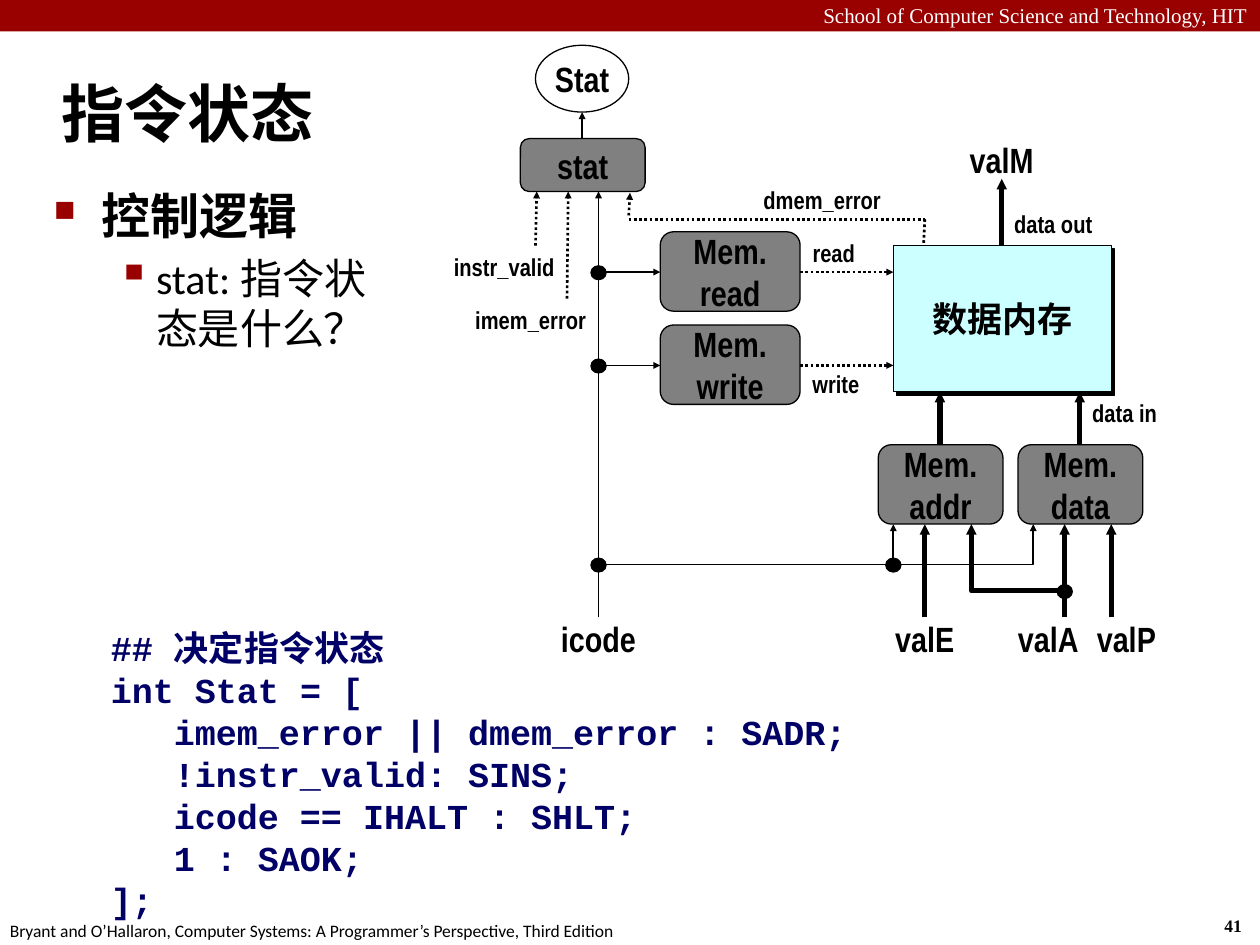
"""Build the slide on the instruction status logic of a processor's memory stage."""
import pptx
import pptx.dml.color
import pptx.enum.dml
import pptx.enum.shapes
import pptx.enum.text
import pptx.oxml
import pptx.oxml.ns
import pptx.util

Inches = pptx.util.Inches
Pt = pptx.util.Pt
SHAPE = pptx.enum.shapes.MSO_SHAPE
ALIGN = pptx.enum.text.PP_ALIGN
MIDDLE = pptx.enum.text.MSO_ANCHOR.MIDDLE
DOTTED = pptx.enum.dml.MSO_LINE.ROUND_DOT
BLACK, WHITE, RED, GREY, CYAN, NAVY = "000000", "FFFFFF", "990000", "808080", "CCFFFF", "000066"
NARROW = "Arial Narrow"


def rgb(value):
    return pptx.dml.color.RGBColor.from_string(value)


def add_xml(parent, tag, body="", **attrs):
    values = " ".join(f'{key}="{value}"' for key, value in attrs.items())
    ns = pptx.oxml.ns.nsdecls("a")
    parent.append(pptx.oxml.parse_xml(f"<a:{tag} {ns} {values}>{body}</a:{tag}>"))


class Slide:
    def __init__(self, prs):
        self.s = prs.slides.add_slide(prs.slide_layouts[6])
        self.font = {"name": NARROW, "size": Pt(20), "bold": True}

    def style(self, p, color=BLACK, **fmt):
        for key, value in {**self.font, **fmt}.items():
            setattr(p.font, key, value)
        p.font.color.rgb = rgb(color)

    def fill_text(self, tf, lines, align=ALIGN.LEFT, spacing=None, **fmt):
        for i, line in enumerate(lines):
            p = tf.add_paragraph() if i else tf.paragraphs[0]
            p.add_run().text = line
            p.alignment = align
            p.line_spacing = spacing
            self.style(p, **fmt)

    def box(self, at, wrap=True):
        sp = self.s.shapes.add_textbox(*map(Inches, at))
        tf = sp.text_frame
        tf.word_wrap = wrap
        return tf

    def text(self, at, *lines, wrap=True, **fmt):
        tf = self.box(at, wrap)
        self.fill_text(tf, lines, **fmt)
        return tf

    def label(self, x, y, w, text, align=ALIGN.LEFT):
        self.text((x, y, w, 0.33), text, align=align, size=Pt(14))

    def bullet(self, p, text, char, percent, margin, indent, **fmt):
        pPr = p._p.get_or_add_pPr()
        pPr.set("marL", str(Inches(margin)))
        pPr.set("indent", str(Inches(-indent)))
        add_xml(pPr, "buClr", f'<a:srgbClr val="{RED}"/>')
        add_xml(pPr, "buSzPct", val=percent * 1000)
        add_xml(pPr, "buChar", char=char)
        p.add_run().text = text
        self.style(p, name="Calibri", **fmt)

    def shape(self, kind, at, *lines, fill=None, line=BLACK):
        sp = self.s.shapes.add_shape(kind, *map(Inches, at))
        sp.shadow.inherit = False
        for part, color in ((sp.fill, fill), (sp.line.fill, line)):
            if color:
                part.solid()
                part.fore_color.rgb = rgb(color)
            else:
                part.background()
        if line:
            sp.line.width = Pt(0.75)
        tf = sp.text_frame
        tf.word_wrap = False
        tf.vertical_anchor = MIDDLE
        self.fill_text(tf, lines, align=ALIGN.CENTER)
        return sp

    def block(self, at, *lines):
        self.shape(SHAPE.ROUNDED_RECTANGLE, at, *lines, fill=GREY)

    def signal(self, x, y, text, fill=None, line=None):
        self.shape(SHAPE.OVAL, (x, y, 0.74, 0.53), text, fill=fill, line=line)

    def dot(self, x, y):
        self.shape(SHAPE.OVAL, (x - 0.06, y - 0.05, 0.12, 0.11), fill=BLACK)

    def stroke(self, sp, width, arrow):
        sp.line.color.rgb = rgb(BLACK)
        sp.line.width = Pt(width)
        if arrow:
            add_xml(sp.line._get_or_add_ln(), "tailEnd", type="triangle", w="sm", len="sm")

    def wire(self, x1, y1, x2, y2, width=1, dash=None, arrow=True):
        kind = pptx.enum.shapes.MSO_CONNECTOR.STRAIGHT
        sp = self.s.shapes.add_connector(kind, *map(Inches, (x1, y1, x2, y2)))
        if dash:
            sp.line.dash_style = dash
        self.stroke(sp, width, arrow)
        add_xml(sp._element.spPr, "effectLst")

    def bent_wire(self, *points, width=1):
        start, *rest = [tuple(map(Inches, point)) for point in points]
        builder = self.s.shapes.build_freeform(*start)
        builder.add_line_segments(rest, close=False)
        sp = builder.convert_to_shape()
        sp.shadow.inherit = False
        sp.fill.background()
        self.stroke(sp, width, True)


prs = pptx.Presentation()
prs.slide_width, prs.slide_height = Inches(10), Inches(7.5)
s = Slide(prs)

s.shape(SHAPE.RECTANGLE, (0, 0, 10, 0.25), fill=RED, line=None)
s.text((0, -0.03, 10, 0.3), "School of Computer Science and Technology, HIT", align=ALIGN.RIGHT,
       name="Times New Roman", size=Pt(12), bold=False, color=WHITE)
s.text((9.62, 7.21, 0.37, 0.27), "41", wrap=False, name="Times New Roman", size=Pt(10))
s.text((-0.02, 7.25, 5.08, 0.27),
       "Bryant and O’Hallaron, Computer Systems: A Programmer’s Perspective, Third Edition",
       wrap=False, name="Calibri", size=Pt(10), bold=False)
title = s.text((0.39, 0.48, 9.61, 0.83), "指令状态", name="Calibri", size=Pt(36))
title.vertical_anchor = MIDDLE

body = s.box((0.33, 1.42, 2.82, 2.76))
s.bullet(body.paragraphs[0], "控制逻辑", "■", 60, 0.38, 0.38, size=Pt(28))
p = body.add_paragraph()
p.level = 1
p.space_before = Pt(4.8)
s.bullet(p, "stat: 指令状态是什么？", "▪", 110, 0.81, 0.31, size=Pt(24), bold=False)

for x, y1, y2 in ((8.45, 4.9, 4.16), (7.34, 4.9, 4.16), (8.82, 4.9, 4.16),
                  (7.46, 3.53, 3.11), (8.57, 3.53, 3.11), (7.95, 1.95, 1.42)):
    s.wire(x, y1, x, y2, width=3)
s.bent_wire((8.45, 4.69), (7.71, 4.69), (7.71, 4.16), width=3)
s.bent_wire((4.75, 4.48), (8.2, 4.48), (8.2, 4.16))
s.bent_wire((4.75, 4.9), (4.75, 2.16), (5.24, 2.16))
for ends in ((4.75, 2.9, 5.24, 2.9), (7.09, 4.48, 7.09, 4.16),
             (4.75, 2.16, 4.75, 1.52), (4.62, 1.1, 4.62, 0.89)):
    s.wire(*ends)
for ends in ((6.35, 2.16, 7.09, 2.16), (6.35, 2.9, 7.09, 2.9), (4.5, 2.37, 4.51, 1.52),
             (4.99, 1.71, 5, 1.53), (4.25, 1.95, 4.26, 1.52)):
    s.wire(*ends, width=1.5, dash=DOTTED)
for ends in ((4.99, 1.74, 7.34, 1.74), (7.34, 1.74, 7.33, 1.95)):
    s.wire(*ends, width=1.5, dash=DOTTED, arrow=False)

memory = s.shape(SHAPE.RECTANGLE, (7.09, 1.95, 1.73, 1.16), "数据内存", fill=CYAN)
effects = memory._element.spPr.find(pptx.oxml.ns.qn("a:effectLst"))
add_xml(effects, "outerShdw", f'<a:srgbClr val="{BLACK}"/>',
        dist=Pt(2.8), dir=45 * 60000, algn="ctr", rotWithShape=0)

for x, y, w, name in ((5.24, 1.84, 1.11, "read"), (5.24, 2.58, 1.11, "write"),
                      (6.97, 3.53, 0.99, "addr"), (8.08, 3.53, 0.99, "data")):
    s.block((x, y, w, 0.63), "Mem.", name)
s.block((4.13, 1.1, 0.99, 0.42), "stat")
s.signal(4.25, 0.36, "Stat", fill=WHITE, line=BLACK)
for x, y, name in ((6.97, 4.8, "valE"), (7.95, 4.8, "valA"), (8.57, 4.8, "valP"),
                   (4.38, 4.8, "icode"), (7.58, 1, "valM")):
    s.signal(x, y, name)
for x, y in ((8.45, 4.69), (7.09, 4.48), (4.75, 4.48), (4.75, 2.9), (4.75, 2.16)):
    s.dot(x, y)

for x, y, w, name in ((6.35, 1.84, 0.99, "read"), (6.35, 2.88, 0.86, "write"),
                      (7.95, 1.61, 1.23, "data out"), (8.57, 3.11, 1.23, "data in")):
    s.label(x, y, w, name)
for x, y, w, name in ((5.12, 1.42, 1.97, "dmem_error"), (3.27, 1.95, 1.23, "instr_valid"),
                      (3.39, 2.37, 1.36, "imem_error")):
    s.label(x, y, w, name, ALIGN.RIGHT)

code = s.text((0.83, 4.92, 8.76, 2.46), "## 决定指令状态", "int Stat = [",
              "\timem_error || dmem_error : SADR;", "\t!instr_valid: SINS;",
              "\ticode == IHALT : SHLT;", "\t1 : SAOK;", "];",
              spacing=Pt(24), name="Courier New", color=NAVY)
for side in ("left", "right", "top", "bottom"):
    setattr(code, f"margin_{side}", Inches(0.05))

prs.save("out.pptx")
